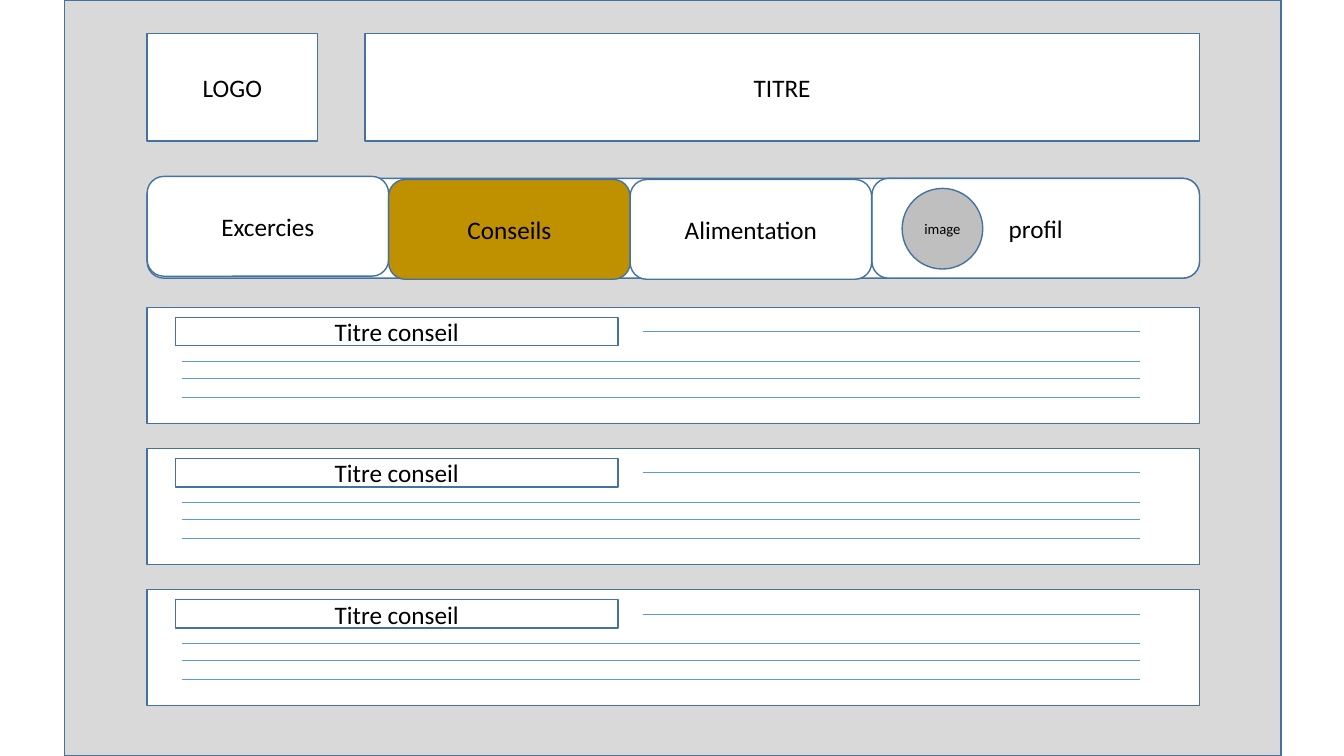
from pptx import Presentation
from pptx.dml.color import RGBColor
from pptx.enum import shapes, text
from pptx.oxml import xmlchemy
from pptx.util import Pt

RECT = shapes.MSO_SHAPE.RECTANGLE
ROUND = shapes.MSO_SHAPE.ROUNDED_RECTANGLE
OVAL = shapes.MSO_SHAPE.OVAL
WHITE, BORDER, RULE = "FFFFFF", "43739E", "5B9BD5"
LEFT, WIDTH = 105.1, 751.7      # content column
TAB_W, TAB_H = 172.5, 71.3
CARD_TOP, CARD_H, CARD_STEP = 219.6, 82.8, 100.8
RULE_LEFT, RULE_RIGHT = 130.3, 814.3


def color(value):
    return RGBColor.from_string(value)


def style_box(sp, fill, label="", size=18):
    sp.fill.solid()
    sp.fill.fore_color.rgb = color(fill)
    sp.line.color.rgb = color(BORDER)
    sp.line.width = Pt(1)
    if label:
        tf = sp.text_frame
        tf.word_wrap = True
        tf.auto_size = text.MSO_AUTO_SIZE.NONE
        tf.vertical_anchor = text.MSO_ANCHOR.MIDDLE
        p = tf.paragraphs[0]
        p.alignment = text.PP_ALIGN.CENTER
        r = p.add_run()
        r.text = label
        r.font.name = "Calibri"
        r.font.size = Pt(size)
        r.font.color.rgb = color("000000")


def add_box(slide, kind, x, y, w, h, fill=WHITE, label="", size=18):
    sp = slide.shapes.add_shape(kind, Pt(x), Pt(y), Pt(w), Pt(h))
    sp.shadow.inherit = False
    style_box(sp, fill, label, size)


def add_rule(slide, x, y):
    line = slide.shapes.add_connector(
        shapes.MSO_CONNECTOR.STRAIGHT, Pt(x), Pt(y), Pt(RULE_RIGHT), Pt(y))
    line.line.color.rgb = color(RULE)
    line.line.width = Pt(0.5)
    effects = xmlchemy.OxmlElement("a:effectLst")
    line._element.spPr.append(effects)


def place_title(slide, x, y, w, h, label):
    title = slide.shapes.title
    title.left, title.top, title.width, title.height = Pt(x), Pt(y), Pt(w), Pt(h)
    style_box(title, WHITE, label)
    # Bring the title in front of the page panel
    slide.shapes._spTree.append(title._element)


def add_advice_card(slide, top):
    add_box(slide, RECT, LEFT, top, WIDTH, CARD_H)
    add_box(slide, RECT, 125.3, top + 7.2, 316.1, 20.2, label="Titre conseil")
    add_rule(slide, 459.4, top + 17.3)
    for offset in (38.7, 50.4, 64.1):
        add_rule(slide, RULE_LEFT, top + offset)


def main():
    prs = Presentation()
    prs.slide_width, prs.slide_height = Pt(960), Pt(540)
    slide = prs.slides.add_slide(prs.slide_layouts[5])

    # Page panel and header
    add_box(slide, RECT, 46.1, 0, 869, 540, "D9D9D9")
    add_box(slide, RECT, LEFT, 23.8, 121.7, 77, label="LOGO")
    place_title(slide, 260.6, 23.8, 596.2, 77, "TITRE")

    # Navigation bar
    add_box(slide, ROUND, LEFT, 127.4, WIDTH, TAB_H)
    add_box(slide, ROUND, 622.8, 127.4, 234, TAB_H, label="profil")
    tabs = [("Excercies", 126, WHITE), ("Conseils", 128.2, "BF9000"),
            ("Alimentation", 128.2, WHITE)]
    for i, (label, top, fill) in enumerate(tabs):
        add_box(slide, ROUND, LEFT + i * TAB_W, top, TAB_W, TAB_H, fill, label)
    add_box(slide, OVAL, 644.4, 134.6, 57.6, 57.6, "BFBFBF", "image", 10.5)

    # Advice cards
    for i in range(3):
        add_advice_card(slide, CARD_TOP + i * CARD_STEP)

    prs.save("out.pptx")


if __name__ == "__main__":
    main()
